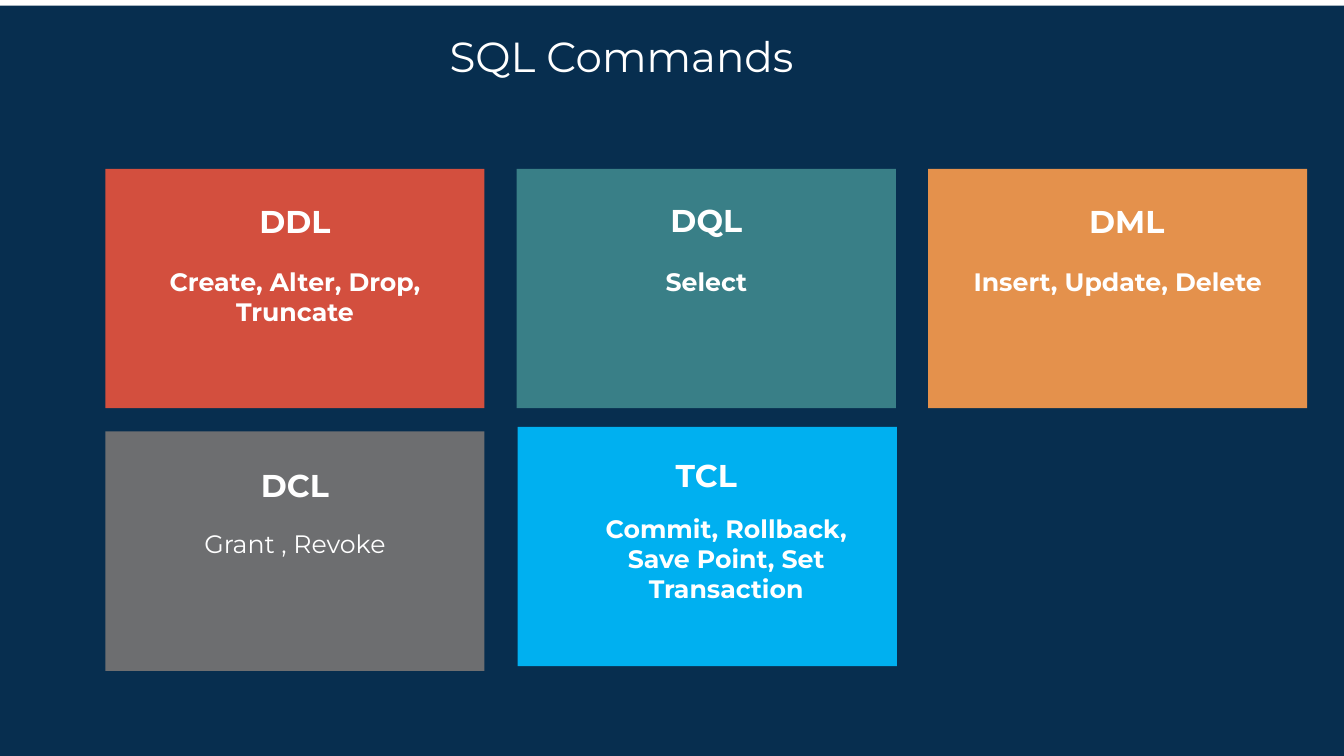
from pptx import Presentation
from pptx.dml.color import RGBColor
from pptx.enum import shapes, text
from pptx.util import Pt

PAGE_WIDTH, PAGE_HEIGHT = 1919.5, 1080
CARD_WIDTH, CARD_HEIGHT = 541.5, 342
FIRST_LEFT, COLUMN_STEP = 150.5, 587.5
TOP_ROW, BOTTOM_ROW = 241.2, 616.3
HEADING_WIDTH, BODY_WIDTH = 296.5, 450


def colour(hex_code):
    return RGBColor.from_string(hex_code)


def add_block(page, left, top, width, height, fill):
    block = page.shapes.add_shape(
        shapes.MSO_SHAPE.RECTANGLE, Pt(left), Pt(top), Pt(width), Pt(height))
    block.shadow.inherit = False
    block.fill.solid()
    block.fill.fore_color.rgb = colour(fill)
    block.line.fill.background()
    return block


def write(box, words, size, bold=False, align=text.PP_ALIGN.CENTER, spacing=None):
    frame = box.text_frame
    frame.word_wrap = True
    frame.auto_size = text.MSO_AUTO_SIZE.NONE
    frame.vertical_anchor = text.MSO_ANCHOR.TOP
    para = frame.paragraphs[0]
    para.alignment = align
    if spacing:
        para.line_spacing = Pt(spacing)
    span = para.add_run()
    span.text = words
    span.font.name = "Montserrat"
    span.font.size = Pt(size)
    span.font.bold = bold
    span.font.color.rgb = colour("FFFFFF")


def add_text(page, left, top, width, height, words, **style):
    box = page.shapes.add_textbox(Pt(left), Pt(top), Pt(width), Pt(height))
    write(box, words, **style)


def add_title(page, left, top, width, height, words):
    title = page.shapes.title
    title.left, title.top = Pt(left), Pt(top)
    title.width, title.height = Pt(width), Pt(height)
    write(title, words, size=60, align=text.PP_ALIGN.LEFT)


def add_backdrop(page, top):
    backdrop = add_block(page, 0, top, PAGE_WIDTH, PAGE_HEIGHT - top, "072E4F")
    page.shapes.title.element.addprevious(backdrop.element)


def add_card(page, left, top, fill, heading, commands, bold=True,
             heading_shift=0, heading_drop=44, body_shift=0, body_drop=135.4):
    """Shifts are measured from the card's centre line, drops from its top."""
    add_block(page, left, top, CARD_WIDTH, CARD_HEIGHT, fill)
    centre = left + CARD_WIDTH / 2
    add_text(page, centre + heading_shift - HEADING_WIDTH / 2, top + heading_drop,
             HEADING_WIDTH, 62, heading, size=45, bold=True)
    add_text(page, centre + body_shift - BODY_WIDTH / 2, top + body_drop,
             BODY_WIDTH, 94, commands, size=36, bold=bold, spacing=43)


def main():
    deck = Presentation()
    deck.slide_width, deck.slide_height = Pt(PAGE_WIDTH), Pt(PAGE_HEIGHT)
    page = deck.slides.add_slide(deck.slide_layouts.get_by_name("Title Only"))
    add_backdrop(page, top=8)
    add_title(page, 635, 40.3, 522, 80, "SQL Commands")

    first, second, third = (FIRST_LEFT + COLUMN_STEP * i for i in range(3))
    add_card(page, first, TOP_ROW, "D34F3E", "DDL", "Create, Alter, Drop, Truncate")
    add_card(page, second, TOP_ROW, "397F87", "DQL", "Select", heading_drop=42.5)
    add_card(page, third, TOP_ROW, "E4914C", "DML", "Insert, Update, Delete",
             heading_shift=13)
    add_card(page, first, BOTTOM_ROW, "6D6E70", "DCL", "Grant , Revoke",
             bold=False, heading_drop=45.4)
    add_card(page, second + 1.4, BOTTOM_ROW - 6.5, "00B0F0", "TCL",
             "Commit, Rollback, Save Point, Set Transaction",
             heading_shift=-1.4, heading_drop=37.5, body_shift=27, body_drop=119.6)
    deck.save("out.pptx")


if __name__ == "__main__":
    main()
